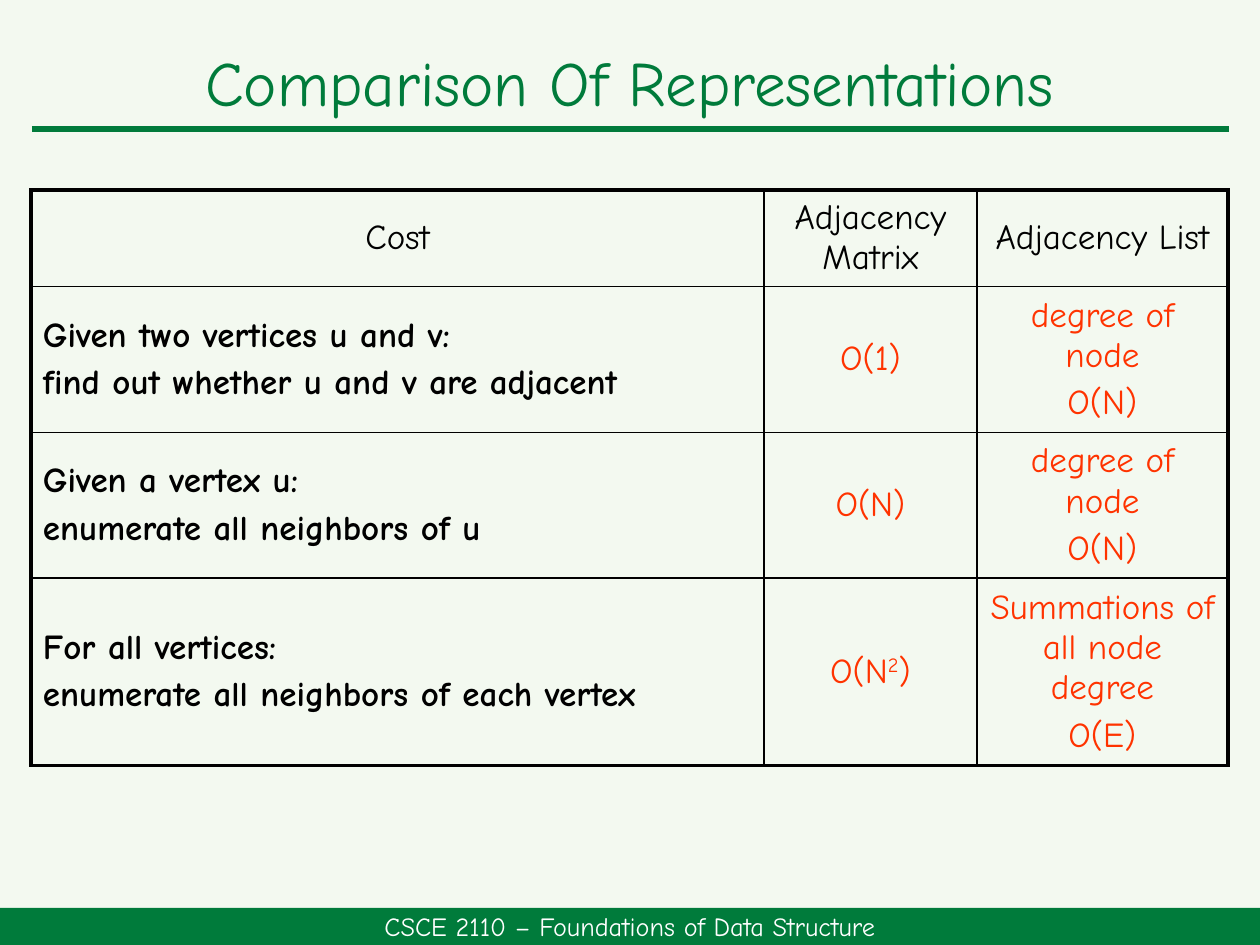
from lxml.etree import SubElement
from pptx import Presentation
from pptx.dml.color import RGBColor
from pptx.enum.shapes import MSO_CONNECTOR, MSO_SHAPE
from pptx.enum.text import MSO_ANCHOR, PP_ALIGN
from pptx.oxml.ns import qn
from pptx.util import Emu, Pt

GREEN = RGBColor(0x00, 0x7B, 0x3B)
ORANGE = RGBColor(0xFF, 0x33, 0x00)
BLACK = RGBColor(0, 0, 0)
WHITE = RGBColor(255, 255, 255)
PALE = RGBColor(0xF3, 0xF9, 0xF0)

FONT = "Comic Neue"
THIN, THICK = 1, 2.25
COLS = [733, 213, 251]
ROWS = [95, 144, 144, 180]
HEADER = ["Cost", "Adjacency Matrix", "Adjacency List"]
# One list of paragraphs per cell; text between carets is superscript
COSTS = [
    (["Given two vertices u and v:", "find out whether u and v are adjacent"],
     ["O(1)"], ["degree of node", "O(N)"]),
    (["Given a vertex u:", "enumerate all neighbors of u"],
     ["O(N)"], ["degree of node", "O(N)"]),
    (["For all vertices:", "enumerate all neighbors of each vertex"],
     ["O(N^2^)"], ["Summations of all node degree", "O(E)"]),
]


def px(n):
    return Emu(round(n * 914400 / 126))


class Deck:
    def __init__(self, width, height):
        self.prs = Presentation()
        self.prs.slide_width, self.prs.slide_height = px(width), px(height)
        self.s = self.prs.slides.add_slide(self.prs.slide_layouts[6])
        fill = self.s.background.fill
        fill.solid()
        fill.fore_color.rgb = PALE

    def add_text(self, tf, paragraphs, size, color, bold=False,
                 align=PP_ALIGN.CENTER, spacing=None):
        tf.word_wrap = True
        font = {"name": FONT, "size": Pt(size), "bold": bold}
        for i, text in enumerate(paragraphs):
            p = tf.add_paragraph() if i else tf.paragraphs[0]
            p.alignment = align
            if spacing:
                p.line_spacing = spacing
            if i:
                p.space_before = Pt(size * 0.2)
            for j, part in enumerate(text.split("^")):
                r = p.add_run()
                r.text = part
                for name, value in font.items():
                    setattr(r.font, name, value)
                r.font.color.rgb = color
                if j % 2:
                    r._r.get_or_add_rPr().set("baseline", "30000")

    def bar(self, x, y, w, h, text):
        sp = self.s.shapes.add_shape(MSO_SHAPE.RECTANGLE, *map(px, (x, y, w, h)))
        sp.shadow.inherit = False
        sp.fill.solid()
        sp.fill.fore_color.rgb = GREEN
        sp.line.fill.background()
        sp.text_frame.vertical_anchor = MSO_ANCHOR.MIDDLE
        self.add_text(sp.text_frame, [text], 15, WHITE)

    def title(self, x, y, w, h, text):
        tf = self.s.shapes.add_textbox(*map(px, (x, y, w, h))).text_frame
        tf.vertical_anchor = MSO_ANCHOR.MIDDLE
        self.add_text(tf, [text], 36, GREEN, spacing=0.9)

    def rule(self, x1, y1, x2, y2):
        line = self.s.shapes.add_connector(
            MSO_CONNECTOR.STRAIGHT, *map(px, (x1, y1, x2, y2)))
        line.line.color.rgb = GREEN
        line.line.width = Pt(3)
        SubElement(line._element.spPr, qn("a:effectLst"))

    def borders(self, cell, widths):
        tcPr = cell._tc.get_or_add_tcPr()
        for side, width in widths.items():
            ln = SubElement(tcPr, qn(f"a:ln{side}"), w=str(int(Pt(width))))
            fill = SubElement(ln, qn("a:solidFill"))
            SubElement(fill, qn("a:srgbClr"), val=str(BLACK))

    def table(self, x, y, cols, rows, cells):
        frame = self.s.shapes.add_table(
            len(rows), len(cols), *map(px, (x, y, sum(cols), sum(rows))))
        table = frame.table
        table.first_row = table.horz_banding = False
        for column, width in zip(table.columns, cols):
            column.width = px(width)
        for row, height in zip(table.rows, rows):
            row.height = px(height)
        for i, row in enumerate(cells):
            for j, (paragraphs, style) in enumerate(row):
                cell = table.cell(i, j)
                cell.vertical_anchor = MSO_ANCHOR.MIDDLE
                cell.margin_left = cell.margin_right = px(12)
                # Thick outer frame, thin inner grid
                outer = {"L": j == 0, "R": j == len(cols) - 1,
                         "T": i == 0, "B": i == len(rows) - 1}
                self.borders(cell, {side: THICK if edge else THIN
                                    for side, edge in outer.items()})
                cell.fill.background()
                self.add_text(cell.text_frame, paragraphs, 20, **style)


def main():
    deck = Deck(1260, 945)

    # Footer and heading
    deck.bar(0, 908, 1260, 37, "CSCE 2110 – Foundations of Data Structure")
    deck.title(31, 42, 1197, 88, "Comparison Of Representations")

    # Cost comparison
    head = {"color": BLACK}
    task = {"color": BLACK, "bold": True, "align": PP_ALIGN.LEFT}
    cost = {"color": ORANGE}
    cells = [[([text], head) for text in HEADER]]
    cells += [list(zip(row, (task, cost, cost))) for row in COSTS]
    deck.table(31, 190, COLS, ROWS, cells)

    # Line under the heading
    deck.rule(32, 129, 1229, 129)

    deck.prs.save("out.pptx")


if __name__ == "__main__":
    main()
